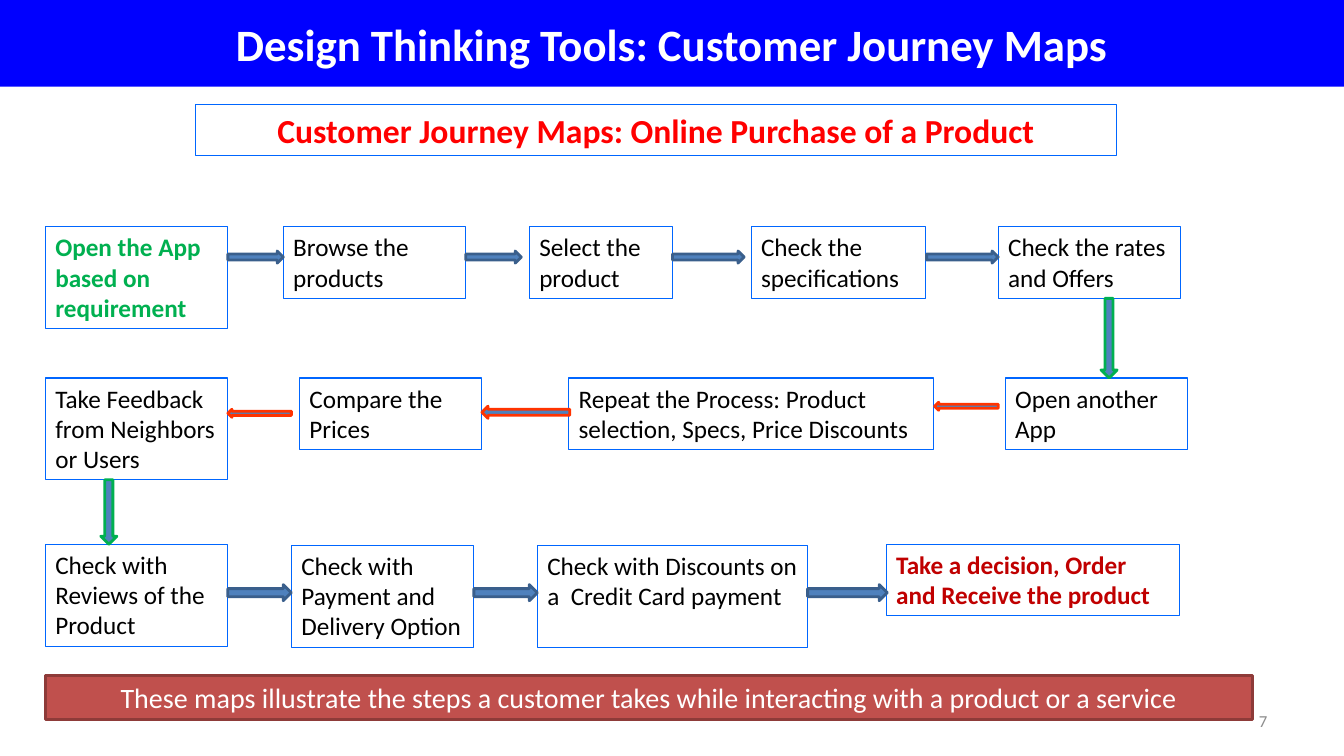
from pptx import Presentation
from pptx.dml.color import RGBColor as RGB
from pptx.enum.shapes import MSO_SHAPE as Form
from pptx.enum.text import MSO_ANCHOR as Anchor, MSO_AUTO_SIZE as Fit, PP_ALIGN as Align
from pptx.util import Inches, Pt

COLORS = {
    "title": "0000FF", "white": "FFFFFF", "black": "000000",
    "frame": "0066FF", "head": "FF0000", "start": "00B050",
    "end": "C00000", "arrow": "4F81BD", "edge": "3A5F8C",
    "back": "FF3300", "down": "00B050", "note": "C0504D",
    "rim": "8E3B39", "page": "8C8C8C",
}


class Board:
    font = "Calibri"

    def __init__(self, slide):
        self.slide = slide

    def color(self, name):
        return RGB.from_string(COLORS[name])

    def shape(self, form, rect, fill=None, line=None, width=0.75):
        item = self.slide.shapes.add_shape(form, *map(Inches, rect))
        item.shadow.inherit = False
        if fill:
            item.fill.solid()
            item.fill.fore_color.rgb = self.color(fill)
        else:
            item.fill.background()
        if line:
            item.line.color.rgb = self.color(line)
            item.line.width = Pt(width)
        else:
            item.line.fill.background()
        return item

    def put_text(self, item, text, size, color, bold=False,
                 align=Align.LEFT, anchor=Anchor.TOP):
        frame = item.text_frame
        frame.word_wrap = True
        frame.auto_size = Fit.NONE
        frame.vertical_anchor = anchor
        para = frame.paragraphs[0]
        para.alignment = align
        run = para.add_run()
        run.text = text
        run.font.name = self.font
        run.font.size = Pt(size)
        run.font.bold = bold
        run.font.color.rgb = self.color(color)

    def banner(self, text, rect, size, color, bold=False, anchor=Anchor.TOP, **style):
        item = self.shape(Form.RECTANGLE, rect, **style)
        self.put_text(item, text, size, color, bold, Align.CENTER, anchor)

    def step(self, text, rect, color="black"):
        item = self.shape(Form.RECTANGLE, rect, line="frame")
        self.put_text(item, text, 18, color, color != "black")

    def arrow(self, rect, line, form=Form.RIGHT_ARROW, turn=0):
        self.shape(form, rect, "arrow", line, 2).rotation = turn

    def label(self, text, rect, size, color):
        item = self.slide.shapes.add_textbox(*map(Inches, rect))
        self.put_text(item, text, size, color, align=Align.RIGHT, anchor=Anchor.MIDDLE)


# Box heights for two and three lines of text
TWO, THREE = 0.71, 1.01

# Steps: text, left, top, width, height, optional accent color
STEPS = [
    ("Open the App based on requirement", 0.45, 2.25, 1.81, THREE, "start"),
    ("Browse the products", 2.81, 2.25, 1.81, TWO),
    ("Select the product", 5.25, 2.25, 1.42, TWO),
    ("Check the specifications", 7.45, 2.25, 1.73, TWO),
    ("Check the rates and Offers", 9.9, 2.25, 1.81, TWO),
    ("Open another App", 9.97, 3.75, 1.81, TWO),
    ("Repeat the Process: Product selection, Specs, Price Discounts",
     5.64, 3.75, 3.62, TWO),
    ("Compare the Prices", 2.97, 3.75, 1.81, TWO),
    ("Take Feedback from Neighbors or Users", 0.45, 3.75, 1.81, THREE),
    ("Check with Reviews of the Product", 0.45, 5.4, 1.81, THREE),
    ("Check with Payment and Delivery Option", 2.89, 5.41, 1.81, THREE),
    ("Check with Discounts on a  Credit Card payment", 5.33, 5.41, 2.68, THREE),
    ("Take a decision, Order and Receive the product", 8.79, 5.4, 2.91, TWO, "end"),
]

# Arrows: left, top, width, height
AHEAD = [
    *((x, 2.49, w, 0.12) for x, w in
      ((2.26, 0.55), (4.62, 0.55), (6.67, 0.71), (9.19, 0.71))),
    *((x, 5.8, w, 0.16) for x, w in ((2.26, 0.63), (4.7, 0.63), (8.01, 0.79))),
]
BACK = [(2.26, 4.06, 0.63, 0.08), (4.78, 4.03, 0.87, 0.12), (9.27, 3.99, 0.63, 0.08)]
DOWN = [(10.92, 2.96, 0.16, 0.79), (1, 4.76, 0.16, 0.64)]


def main():
    deck = Presentation()
    deck.slide_width, deck.slide_height = Inches(13.33), Inches(7.5)
    board = Board(deck.slides.add_slide(deck.slide_layouts[6]))

    # Headings
    board.banner("Design Thinking Tools: Customer Journey Maps", (0, 0, 13.33, 0.86),
                 32, "white", True, Anchor.MIDDLE, fill="title")
    board.banner("Customer Journey Maps: Online Purchase of a Product",
                 (1.94, 1.04, 9.13, 0.5), 24, "head", True, line="frame")

    # Journey steps
    for text, x, y, w, h, *accent in STEPS:
        board.step(text, (x, y, w, h), *accent)

    # Arrows between steps
    for rect in AHEAD:
        board.arrow(rect, "edge")
    for rect in BACK:
        board.arrow(rect, "back", turn=180)
    for rect in DOWN:
        board.arrow(rect, "down", Form.DOWN_ARROW)

    # Page number and closing note
    board.label("7", (9.56, 6.95, 3.11, 0.4), 12, "page")
    board.banner("These maps illustrate the steps a customer takes while "
                 "interacting with a product or a service",
                 (0.45, 6.7, 11.97, 0.44), 20, "white",
                 fill="note", line="rim", width=2)

    deck.save("out.pptx")


if __name__ == "__main__":
    main()
